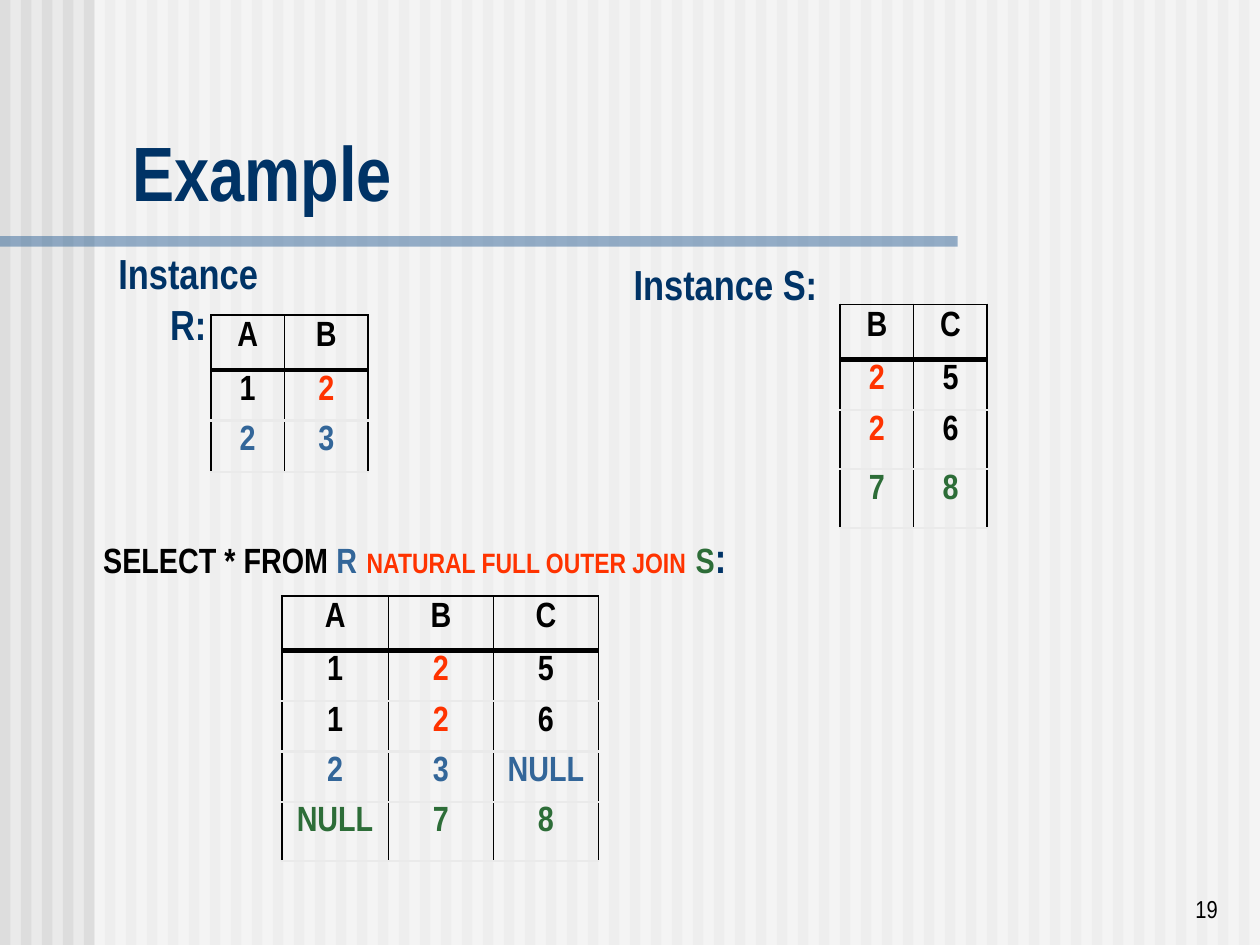
import dataclasses

import lxml.etree
import pptx
import pptx.dml.color
import pptx.enum.shapes
import pptx.enum.text
import pptx.oxml.ns
import pptx.util

Pt = pptx.util.Pt
ALIGN = pptx.enum.text.PP_ALIGN
ANCHOR = pptx.enum.text.MSO_ANCHOR


@dataclasses.dataclass(frozen=True)
class Theme:
    font: str = "Arial Narrow"
    background: str = "EAEAEA"
    stripe: str = "DDDDDD"
    veil: str = "FFFFFF"
    heading: str = "003366"
    plain: str = "000000"
    shared: str = "FF3300"
    only_r: str = "336699"
    only_s: str = "2D6D38"
    title_size: float = 44
    label_size: float = 24
    body_size: float = 20
    join_size: float = 16
    number_size: float = 14
    thin_line: float = 0.45
    frame_line: float = 1.08
    row_line: float = 1.47
    header_line: float = 3


def rgb(color):
    return pptx.dml.color.RGBColor.from_string(color)


class SlideBuilder:
    def __init__(self, slide, theme):
        self.slide = slide
        self.theme = theme
        fill = slide.background.fill
        fill.solid()
        fill.fore_color.rgb = rgb(theme.background)

    def format_font(self, font, size, color, bold=True):
        font.name = self.theme.font
        font.size = Pt(size)
        font.bold = bold
        font.color.rgb = rgb(color)

    def rectangle(self, left, top, width, height, color, opacity=100):
        shape = self.slide.shapes.add_shape(
            pptx.enum.shapes.MSO_SHAPE.RECTANGLE,
            Pt(left), Pt(top), Pt(width), Pt(height))
        shape.shadow.inherit = False
        shape.line.fill.background()
        shape.fill.solid()
        shape.fill.fore_color.rgb = rgb(color)
        if opacity < 100:
            srgb = shape.fill._xPr.find(".//" + pptx.oxml.ns.qn("a:srgbClr"))
            alpha = lxml.etree.SubElement(srgb, pptx.oxml.ns.qn("a:alpha"))
            alpha.set("val", str(opacity * 1000))

    def title(self, text, left, top, width, height):
        shape = self.slide.shapes.title
        shape.left, shape.top = Pt(left), Pt(top)
        shape.width, shape.height = Pt(width), Pt(height)
        # Bring the placeholder in front of the backdrop
        self.slide.shapes.element.append(shape.element)
        shape.text_frame.text = text
        shape.text_frame.vertical_anchor = ANCHOR.BOTTOM
        paragraph = shape.text_frame.paragraphs[0]
        paragraph.alignment = ALIGN.LEFT
        self.format_font(paragraph.font, self.theme.title_size, self.theme.heading)

    def text(self, runs, left, top, width, height, align=ALIGN.CENTER,
             anchor=ANCHOR.TOP, wrap=True, bold=True):
        """Place one paragraph; each run is (text, size, color)."""
        shape = self.slide.shapes.add_textbox(
            Pt(left), Pt(top), Pt(width), Pt(height))
        frame = shape.text_frame
        frame.word_wrap = wrap
        frame.vertical_anchor = anchor
        paragraph = frame.paragraphs[0]
        paragraph.alignment = align
        for text, size, color in runs:
            run = paragraph.add_run()
            run.text = text
            self.format_font(run.font, size, color, bold)

    def border(self, cell, side, color, width):
        properties = cell._tc.get_or_add_tcPr()
        line = lxml.etree.SubElement(
            properties, pptx.oxml.ns.qn("a:ln" + side), w=str(Pt(width)))
        fill = lxml.etree.SubElement(line, pptx.oxml.ns.qn("a:solidFill"))
        lxml.etree.SubElement(fill, pptx.oxml.ns.qn("a:srgbClr"), val=color)

    def table(self, left, top, widths, heights, rows):
        """Place a relation; each cell is (text, color), the first row is the header."""
        theme = self.theme
        table = self.slide.shapes.add_table(
            len(heights), len(widths), Pt(left), Pt(top),
            Pt(sum(widths)), Pt(sum(heights))).table
        table.first_row = False
        table.horz_banding = False
        for column, width in zip(table.columns, widths):
            column.width = Pt(width)
        for row, height in zip(table.rows, heights):
            row.height = Pt(height)

        # Horizontal rules from the top edge down, vertical rules left to right
        row_rule = (theme.background, theme.row_line)
        across = [(theme.plain, theme.frame_line), (theme.plain, theme.header_line)]
        across += [row_rule] * (len(heights) - 1)
        down = [theme.frame_line] + [theme.thin_line] * (len(widths) - 1)
        down += [theme.frame_line]

        for i, row in enumerate(rows):
            for j, (text, color) in enumerate(row):
                cell = table.cell(i, j)
                self.border(cell, "L", theme.plain, down[j])
                self.border(cell, "R", theme.plain, down[j + 1])
                self.border(cell, "T", *across[i])
                self.border(cell, "B", *across[i + 1])
                cell.fill.background()
                cell.text = text
                paragraph = cell.text_frame.paragraphs[0]
                paragraph.alignment = ALIGN.CENTER
                if i > 0:
                    paragraph.line_spacing = 0.9
                self.format_font(paragraph.font, theme.body_size, color)


def main():
    presentation = pptx.Presentation()
    presentation.slide_width, presentation.slide_height = Pt(720), Pt(540)
    theme = Theme()
    slide = presentation.slides.add_slide(presentation.slide_layouts[5])
    builder = SlideBuilder(slide, theme)

    # Striped backdrop, veil and title rule
    for stripe in range(60):
        builder.rectangle(stripe * 12, 0, 6, 540, theme.stripe)
    builder.rectangle(54, 0, 666, 540, theme.veil, opacity=50)
    builder.rectangle(0, 135, 547.2, 6, theme.only_r, opacity=50)

    builder.title("Example", 68.4, 67.5, 643, 60)

    # Relation labels
    for label, left, top in (("Instance S:", 354.5, 144), ("Instance R:", 47.5, 138)):
        builder.text([(label, theme.label_size, theme.heading)],
                     left, top, 120, 36, wrap=False)

    # Query
    builder.text([
        ("SELECT * FROM", theme.body_size, theme.plain),
        (" R", theme.body_size, theme.only_r),
        (" ", theme.label_size, theme.heading),
        ("NATURAL FULL OUTER JOIN", theme.join_size, theme.shared),
        (" ", theme.label_size, theme.heading),
        ("S", theme.body_size, theme.only_s),
        (":", theme.label_size, theme.heading),
    ], 18, 300, 438, 36)

    # Relations S and R, then their join
    def cells(texts, *colors):
        return list(zip(texts.split(), colors))

    plain, shared = theme.plain, theme.shared
    only_r, only_s = theme.only_r, theme.only_s
    builder.table(480, 174, [42.2, 42], [31.5, 28.8, 33.8, 33.8], [
        cells("B C", plain, plain),
        cells("2 5", shared, plain),
        cells("2 6", shared, plain),
        cells("7 8", only_s, only_s),
    ])
    builder.table(120.5, 180, [42, 48], [31.5, 28.8, 29.5], [
        cells("A B", plain, plain),
        cells("1 2", plain, shared),
        cells("2 3", only_r, only_r),
    ])
    builder.table(161, 340.5, [61, 60, 60], [31, 28.8, 28.8, 28.8, 33.8], [
        cells("A B C", plain, plain, plain),
        cells("1 2 5", plain, shared, plain),
        cells("1 2 6", plain, shared, plain),
        cells("2 3 NULL", only_r, only_r, only_r),
        cells("NULL 7 8", only_s, only_s, only_s),
    ])

    # Slide number
    builder.text([("19", theme.number_size, theme.plain)], 553, 495, 150, 36,
                 align=ALIGN.RIGHT, anchor=ANCHOR.BOTTOM, bold=False)

    presentation.save("out.pptx")


if __name__ == "__main__":
    main()
